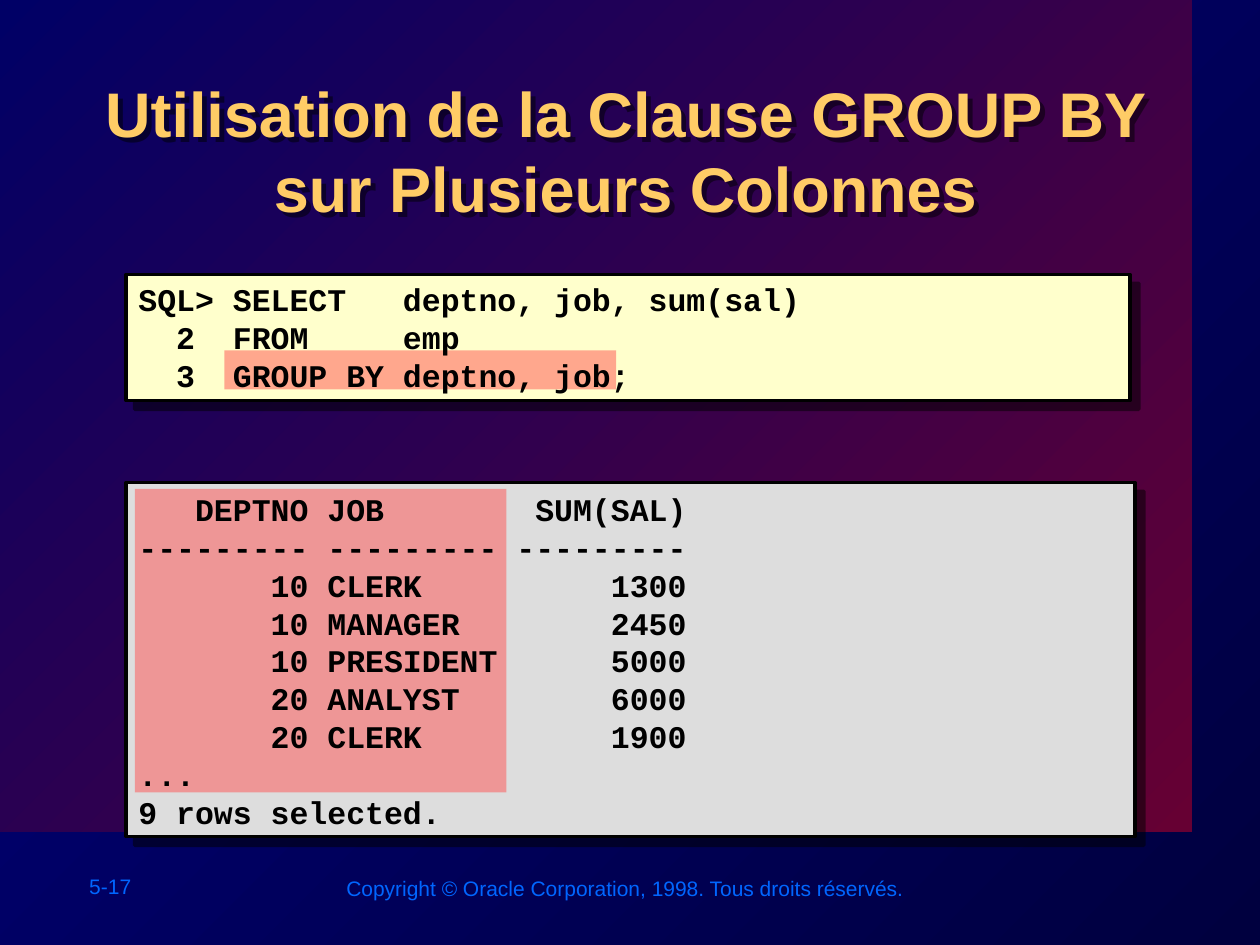
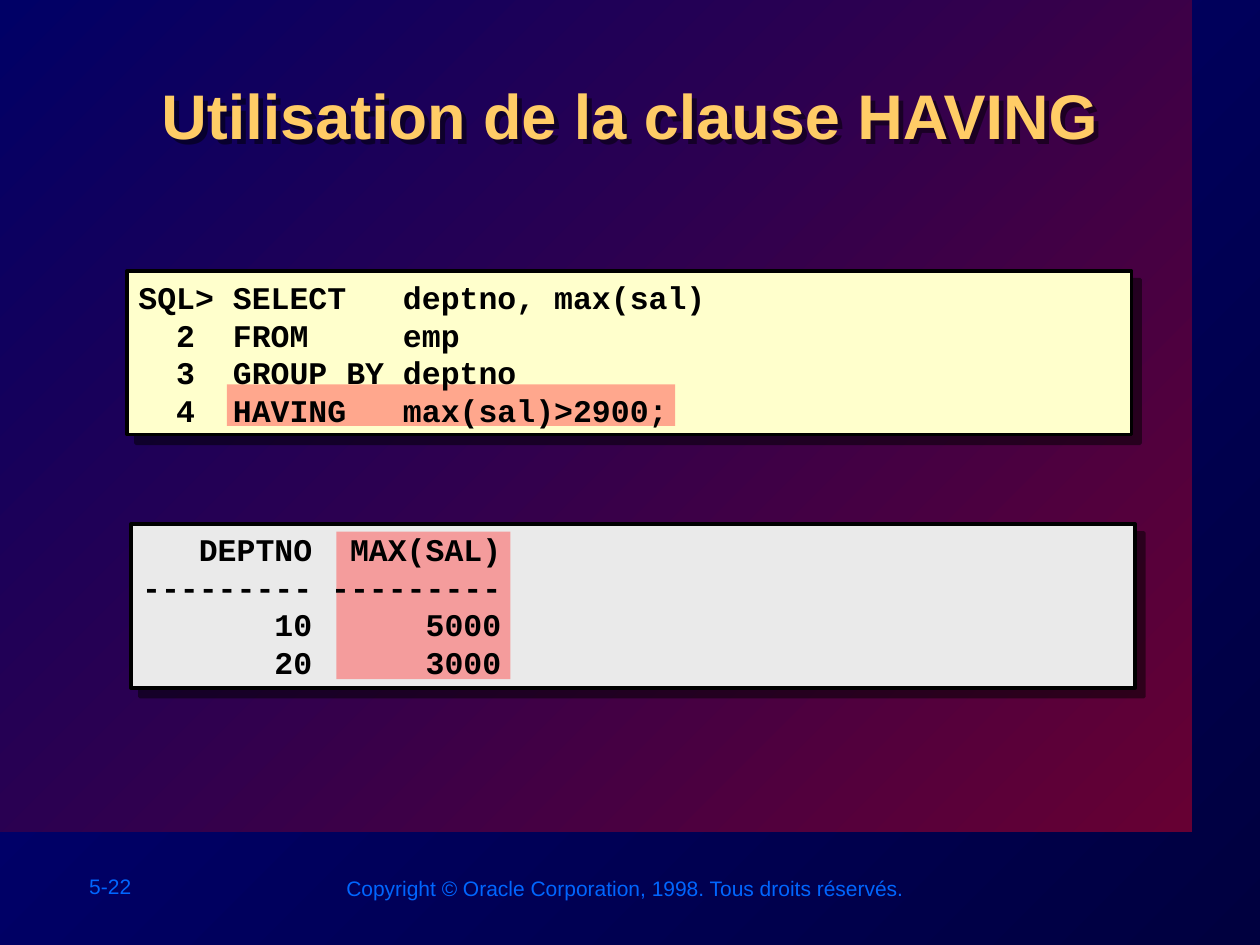
"""Build two SQL course slides on grouping rows with GROUP BY and HAVING."""
from dataclasses import dataclass

from lxml.etree import SubElement
from pptx import Presentation
from pptx.dml.color import RGBColor as Rgb
from pptx.enum.shapes import MSO_SHAPE as Shape
from pptx.enum.text import MSO_ANCHOR as Anchor, MSO_AUTO_SIZE as AutoSize, PP_ALIGN as Align
from pptx.oxml.ns import qn
from pptx.util import Inches, Pt

COPYRIGHT = "Copyright © Oracle Corporation, 1998. Tous droits réservés."

SLIDES = [
    {
        "number": "5-17",
        "title": "Utilisation de la Clause GROUP BY sur Plusieurs Colonnes",
        "title_at": (0.69, 0.54, 8.55, 0.96),
        "panels": [
            {
                "at": (1, 2.18, 7.97, 1),
                "fill": "FFFFCC",
                "highlight_at": (1.78, 2.78, 3.11, 0.31),
                "text_at": (1, 2.16, 8, 1.03),
                "lines": [
                    "SQL> SELECT   deptno, job, sum(sal)",
                    "  2  FROM     emp",
                    "  3  GROUP BY deptno, job;",
                ],
            },
            {
                "at": (1, 3.83, 8.01, 2.81),
                "fill": "DDDDDD",
                "highlight_at": (1.07, 3.88, 2.95, 2.41),
                "text_at": (1, 3.82, 8.04, 2.84),
                "lines": [
                    "   DEPTNO JOB        SUM(SAL)",
                    "--------- --------- ---------",
                    "       10 CLERK          1300",
                    "       10 MANAGER        2450",
                    "       10 PRESIDENT      5000",
                    "       20 ANALYST        6000",
                    "       20 CLERK          1900",
                    "...",
                    "9 rows selected.",
                ],
            },
        ],
    },
    {
        "number": "5-22",
        "title": "Utilisation de la clause HAVING",
        "title_at": (1.01, 0.56, 7.98, 0.96),
        "panels": [
            {
                "at": (1.01, 2.15, 7.97, 1.3),
                "fill": "FFFFCC",
                "highlight_at": (1.8, 3.05, 3.56, 0.33),
                "text_at": (1, 2.14, 8, 1.33),
                "lines": [
                    "SQL> SELECT   deptno, max(sal)",
                    "  2  FROM     emp",
                    "  3  GROUP BY deptno",
                    "  4  HAVING   max(sal)>2900;",
                ],
            },
            {
                "at": (1.04, 4.16, 7.97, 1.3),
                "fill": "EAEAEA",
                "highlight_at": (2.67, 4.22, 1.38, 1.17),
                "text_at": (1.03, 4.14, 8, 1.33),
                "lines": [
                    "   DEPTNO  MAX(SAL)",
                    "--------- ---------",
                    "       10      5000",
                    "       20      3000",
                ],
            },
        ],
    },
]


@dataclass(frozen=True)
class TextStyle:
    font: str
    size: int
    color: str
    bold: bool = False


@dataclass(frozen=True)
class Theme:
    title: TextStyle = TextStyle("Arial", 36, "FFCC66", True)
    code: TextStyle = TextStyle("Courier New", 18, "000000", True)
    footer: TextStyle = TextStyle("Arial", 12, "0066FF")
    backdrop: tuple = ("00003F", "000080")
    band: tuple = ("660033", "000066")
    outline: str = "000000"
    highlight: str = "FF5050"


THEME = Theme()


def inches(at):
    return [Inches(length) for length in at]


def fill_gradient(fill, colors):
    fill.gradient()
    fill.gradient_angle = 135
    for stop, color in zip(fill.gradient_stops, colors):
        stop.color.rgb = Rgb.from_string(color)


def add_alpha(color_element, percent):
    SubElement(color_element, qn("a:alpha"), val=str(percent * 1000))


def add_shadow(shape, distance):
    shape.shadow.inherit = False
    effects = shape.element.spPr.find(qn("a:effectLst"))
    shadow = SubElement(effects, qn("a:outerShdw"), blurRad="0",
                        dist=str(Pt(distance)), dir="2700000", algn="ctr", rotWithShape="0")
    add_alpha(SubElement(shadow, qn("a:srgbClr"), val=THEME.outline), 50)


def write_lines(frame, lines, style):
    frame.word_wrap = True
    frame.auto_size = AutoSize.NONE
    for index, line in enumerate(lines):
        para = frame.add_paragraph() if index else frame.paragraphs[0]
        span = para.add_run()
        span.text = line
        span.font.name = style.font
        span.font.size = Pt(style.size)
        span.font.bold = style.bold
        span.font.color.rgb = Rgb.from_string(style.color)


def add_text(page, at, lines, style):
    frame = page.shapes.add_textbox(*inches(at)).text_frame
    write_lines(frame, lines, style)
    return frame


def add_rectangle(page, at):
    box = page.shapes.add_shape(Shape.RECTANGLE, *inches(at))
    box.shadow.inherit = False
    box.line.fill.background()
    return box


def add_panel_box(page, panel):
    box = add_rectangle(page, panel["at"])
    box.fill.solid()
    box.fill.fore_color.rgb = Rgb.from_string(panel["fill"])
    box.line.color.rgb = Rgb.from_string(THEME.outline)
    box.line.width = Pt(2)
    add_shadow(box, 7.1)


def add_highlight(page, at):
    box = add_rectangle(page, at)
    box.fill.solid()
    box.fill.fore_color.rgb = Rgb.from_string(THEME.highlight)
    add_alpha(box.element.spPr.find(qn("a:solidFill"))[0], 50)


def add_code(page, panel):
    frame = add_text(page, panel["text_at"], panel["lines"], THEME.code)
    frame.vertical_anchor = Anchor.MIDDLE


def set_title(page, text, at):
    title = page.shapes.title
    title.left, title.top, title.width, title.height = inches(at)
    title.fill.background()
    add_shadow(title, 4)
    frame = title.text_frame
    write_lines(frame, [text], THEME.title)
    frame.vertical_anchor = Anchor.TOP
    frame.paragraphs[0].alignment = Align.CENTER


def add_frame(page, number):
    band = add_rectangle(page, (0, 0, 9.46, 6.6))
    fill_gradient(band.fill, THEME.band)
    page.shapes.title.element.addprevious(band.element)
    add_text(page, (0.61, 6.88, 1.11, 0.3), [number], THEME.footer)
    add_text(page, (2.65, 6.9, 4.66, 0.3), [COPYRIGHT], THEME.footer)


def build_slide(deck, content):
    page = deck.slides.add_slide(deck.slide_layouts[5])
    add_frame(page, content["number"])
    set_title(page, content["title"], content["title_at"])
    for panel in content["panels"]:
        add_panel_box(page, panel)
        add_highlight(page, panel["highlight_at"])
        add_code(page, panel)


def main():
    deck = Presentation()
    deck.slide_width, deck.slide_height = Inches(10), Inches(7.5)
    fill_gradient(deck.slide_master.background.fill, THEME.backdrop)
    for content in SLIDES:
        build_slide(deck, content)
    deck.save("out.pptx")


if __name__ == "__main__":
    main()
